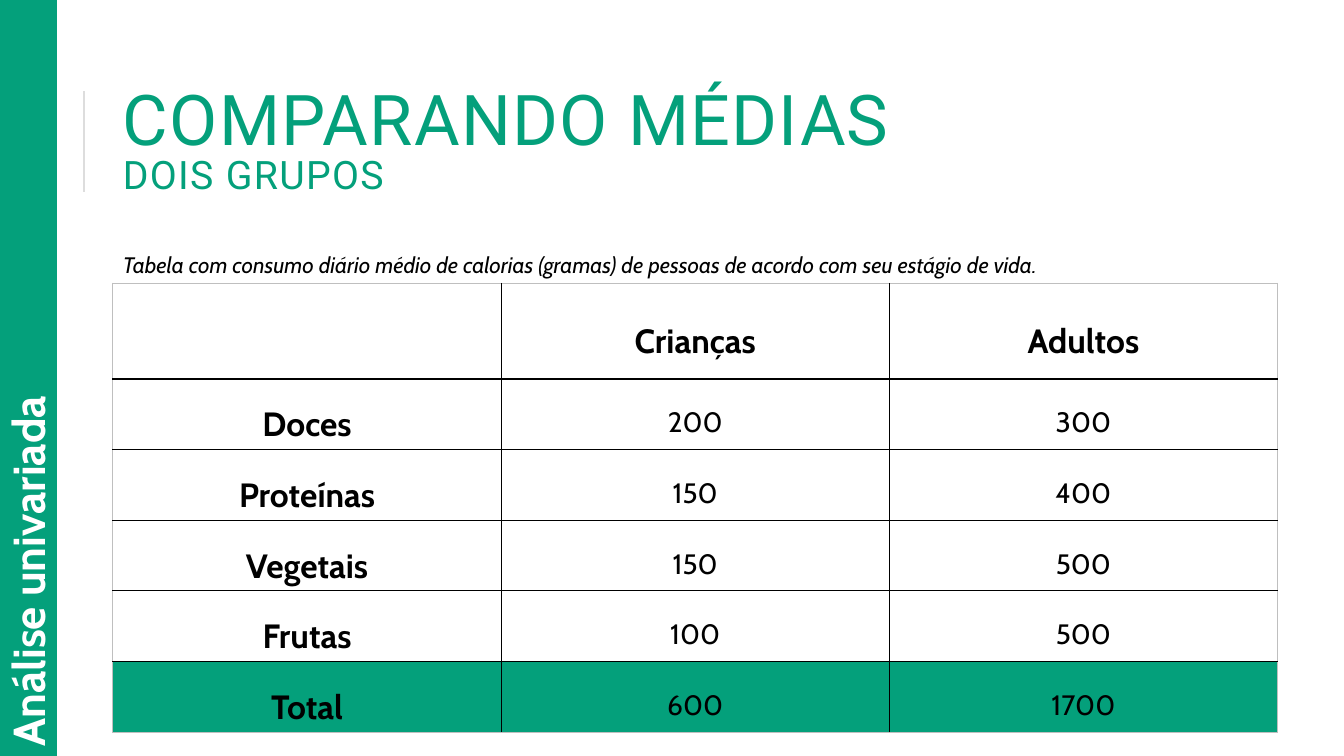
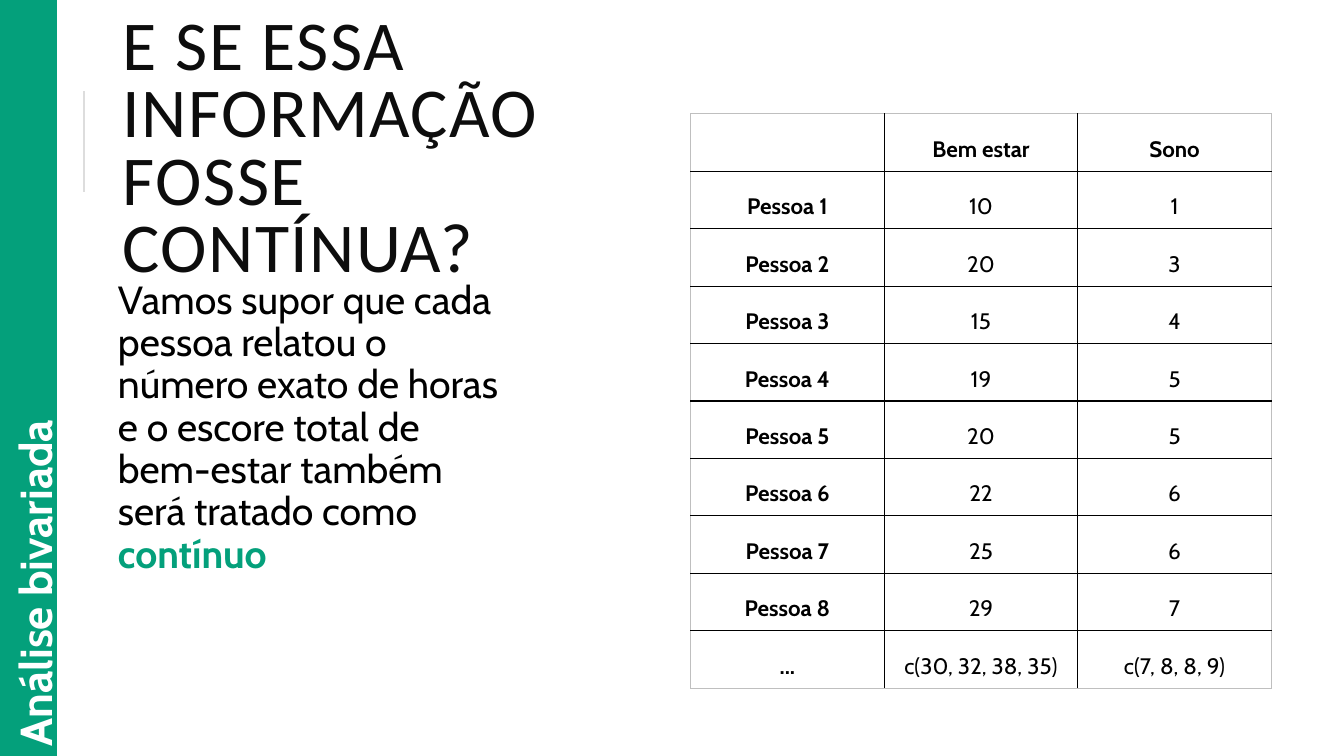
from pptx import Presentation
from pptx.dml.color import RGBColor
from pptx.enum.shapes import MSO_CONNECTOR, MSO_SHAPE
from pptx.enum.text import MSO_ANCHOR, PP_ALIGN
from pptx.oxml.ns import qn
from pptx.util import Inches, Pt
from lxml.etree import SubElement

COLORS = {
    "green": "04A07B",
    "black": "000000",
    "title": "0D0D0D",
    "white": "FFFFFF",
    "rule": "DDDDDD",
    "frame": "BFBFBF",
}
BODY_FONT = "Cabin"

CALORIES = [
    ["", "Crianças", "Adultos"],
    ["Doces", "200", "300"],
    ["Proteínas", "150", "400"],
    ["Vegetais", "150", "500"],
    ["Frutas", "100", "500"],
    ["Total", "600", "1700"],
]
WELLBEING = [10, 20, 15, 19, 20, 22, 25, 29]
SLEEP = [1, 3, 4, 5, 5, 6, 6, 7]
PEOPLE = [
    ["", "Bem estar", "Sono"],
    *([f"Pessoa {number}", str(score), str(hours)]
      for number, (score, hours) in enumerate(zip(WELLBEING, SLEEP), 1)),
    ["...", "c(30, 32, 38, 35)", "c(7, 8, 8, 9)"],
]


def rgb(name):
    """Return the named palette colour."""
    return RGBColor.from_string(COLORS[name])


def add_span(para, text, size, font=BODY_FONT, color="black", bold=False, italic=False, spacing=0):
    """Add a formatted run to a paragraph."""
    span = para.add_run()
    span.text = text
    span.font.size = Pt(size)
    span.font.name = font
    span.font.bold = bold
    span.font.italic = italic
    span.font.color.rgb = rgb(color)
    if spacing:
        span.font._element.set("spc", str(spacing * 100))


def add_box(page, box, anchor=MSO_ANCHOR.TOP, inset=None):
    """Add a wrapping text box and return its shape and first paragraph."""
    shape = page.shapes.add_textbox(*map(Inches, box))
    frame = shape.text_frame
    frame.word_wrap = True
    frame.vertical_anchor = anchor
    if inset is not None:
        frame.margin_left = frame.margin_right = Inches(inset)
        frame.margin_top = frame.margin_bottom = Inches(inset)
    return shape, frame.paragraphs[0]


def add_title(page, box, lines, font, color):
    """Place the title, given as (text, size) lines."""
    para = add_box(page, box, MSO_ANCHOR.MIDDLE)[1]
    para.line_spacing = 0.8
    for index, (text, size) in enumerate(lines):
        if index:
            para.add_line_break()
        add_span(para, text, size, font, color, spacing=1)


def add_rule(page):
    """Draw the thin upright rule beside the title."""
    rule = page.shapes.add_connector(
        MSO_CONNECTOR.STRAIGHT, Inches(0.83), Inches(1.9), Inches(0.83), Inches(0.9))
    rule.line.color.rgb = rgb("rule")
    rule.line.width = Pt(1.5)
    SubElement(rule._element.spPr, qn("a:effectLst"))


def add_side_band(page, label, left):
    """Draw the green side band with its upward label."""
    band = page.shapes.add_shape(MSO_SHAPE.RECTANGLE, 0, 0, Inches(0.56), Inches(7.5))
    band.shadow.inherit = False
    band.fill.solid()
    band.fill.fore_color.rgb = rgb("green")
    band.line.color.rgb = rgb("green")
    band.line.width = Pt(1.25)
    shape, para = add_box(page, (left, 4.51, 5.35, 0.64))
    shape.rotation = 270
    add_span(para, label, 32, color="white", bold=True)


def set_borders(cell, outer):
    """Line a cell in black, with a pale line on its outer sides."""
    properties = cell._tc.get_or_add_tcPr()
    for side in "LRTB":
        pale = side in outer
        line = SubElement(properties, qn(f"a:ln{side}"), w=str(Pt(0.75 if pale else 1)))
        fill = SubElement(line, qn("a:solidFill"))
        SubElement(fill, qn("a:srgbClr"), val=COLORS["frame" if pale else "black"])


def add_grid(page, box, rows, heights, head_size, size, total=False):
    """Build a table with bold headings and an optional green total row."""
    last_row, last_column = len(rows) - 1, len(rows[0]) - 1
    table = page.shapes.add_table(len(rows), len(rows[0]), *map(Inches, box)).table
    table.first_row = table.horz_banding = False
    for column in table.columns:
        column.width = Inches(box[2] / len(rows[0]))
    for r, (values, height) in enumerate(zip(rows, heights)):
        table.rows[r].height = Inches(height)
        for c, text in enumerate(values):
            cell = table.cell(r, c)
            edges = {"L": c == 0, "R": c == last_column, "T": r == 0, "B": r == last_row}
            set_borders(cell, [side for side, outer in edges.items() if outer])
            if total and r == last_row:
                cell.fill.solid()
                cell.fill.fore_color.rgb = rgb("green")
            else:
                cell.fill.background()
            cell.vertical_anchor = MSO_ANCHOR.MIDDLE
            if text:
                heading = r == 0 or c == 0
                para = cell.text_frame.paragraphs[0]
                para.alignment = PP_ALIGN.CENTER
                para.line_spacing = 1.5
                add_span(para, text, head_size if heading else size, bold=heading)


def build_means(page):
    """Build the slide comparing the means of two groups."""
    add_rule(page)
    add_title(page, (1.12, 0.61, 10.63, 1.64),
              [("COMPARANDO MÉDIAS", 50), ("DOIS GRUPOS", 28)], "Roboto", "green")
    add_side_band(page, "Análise univariada", -2.4)
    add_grid(page, (1.12, 2.81, 11.55, 4.45), CALORIES, [0.95] + [0.7] * 5, 24, 20, total=True)
    caption = add_box(page, (1.12, 2.44, 12.01, 0.37))[1]
    add_span(caption, "Tabela com consumo diário médio de calorias (gramas) de pessoas "
             "de acordo com seu estágio de vida.", 16, italic=True)


def build_continuous(page):
    """Build the slide on continuous data."""
    add_rule(page)
    add_title(page, (1.12, 0.64, 5.49, 1.72),
              [("E SE ESSA INFORMAÇÃO FOSSE CONTÍNUA?", 50)], "Calibri", "title")
    para = add_box(page, (1.12, 2.73, 3.92, 3.79), inset=0.05)[1]
    para.line_spacing = 0.9
    para.space_before, para.space_after = Pt(12), Pt(2)
    add_span(para, "Vamos supor que cada pessoa relatou o número exato de horas e o escore "
             "total de bem-estar também será tratado como ", 28)
    add_span(para, "contínuo", 28, color="green", bold=True)
    add_grid(page, (6.85, 1.13, 5.76, 5.69), PEOPLE, [0.57] * len(PEOPLE), 16, 16)
    add_side_band(page, "Análise bivariada", -2.33)


def main():
    """Build and save the deck."""
    deck = Presentation()
    deck.slide_width, deck.slide_height = Inches(13.33), Inches(7.5)
    for build in (build_means, build_continuous):
        build(deck.slides.add_slide(deck.slide_layouts[6]))
    deck.save("out.pptx")


if __name__ == "__main__":
    main()
